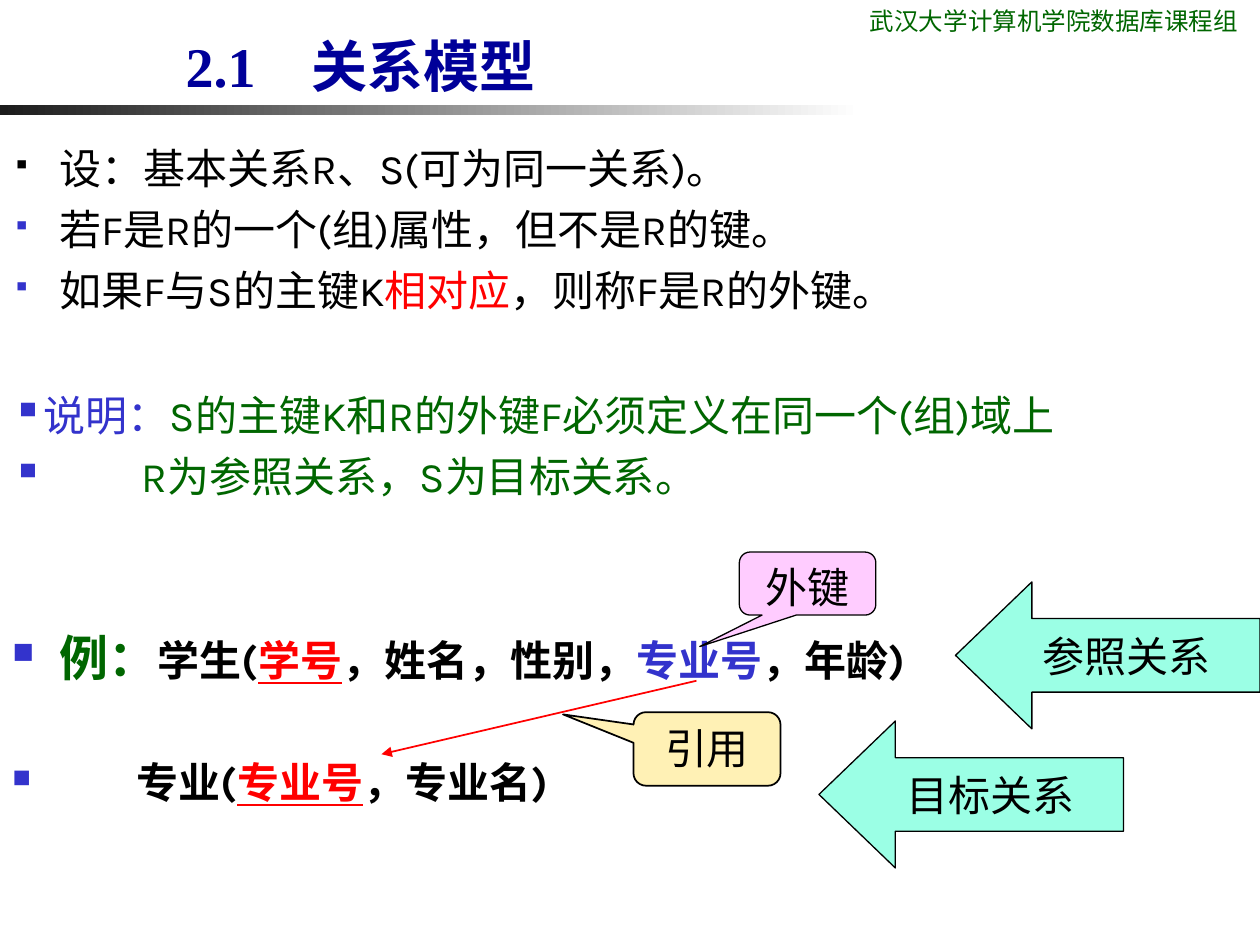
from dataclasses import dataclass

from lxml import etree
from pptx import Presentation
from pptx.dml.color import RGBColor
from pptx.enum.shapes import MSO_CONNECTOR, MSO_SHAPE
from pptx.enum.text import MSO_ANCHOR, PP_ALIGN
from pptx.oxml.ns import qn
from pptx.util import Pt

ARROW = MSO_SHAPE.LEFT_ARROW
CALLOUT = MSO_SHAPE.ROUNDED_RECTANGULAR_CALLOUT
RECT = MSO_SHAPE.RECTANGLE
STRAIGHT = MSO_CONNECTOR.STRAIGHT
TOP, MIDDLE, BOTTOM = MSO_ANCHOR.TOP, MSO_ANCHOR.MIDDLE, MSO_ANCHOR.BOTTOM
CENTER = PP_ALIGN.CENTER

BLACK = RGBColor(0, 0, 0)
WHITE = RGBColor(255, 255, 255)
DARK = RGBColor(0x1C, 0x1C, 0x1C)
GREEN = RGBColor(0, 0x66, 0)
NAVY = RGBColor(0, 0, 0x99)
BLUE = RGBColor(0x33, 0x33, 0xCC)
RED = RGBColor(255, 0, 0)
CREAM = RGBColor(0xFF, 0xF1, 0xB5)
MINT = RGBColor(0x9B, 0xFF, 0xE5)
PINK = RGBColor(0xFF, 0xCC, 0xFF)

BODY = "Karla"


@dataclass
class Span:
    text: str
    color: RGBColor = BLACK
    size: float = 24
    bold: bool = False
    line: bool = False
    font: str = BODY


@dataclass
class Para:
    spans: list[Span]
    hang: float = 0
    mark: str = ""
    tint: RGBColor = BLUE
    scale: int = 100
    gap: float = 6
    tab: float = 0


@dataclass
class Tag:
    text: str
    kind: MSO_SHAPE
    box: tuple
    fill: RGBColor
    adj: tuple
    width: float = 0.75


def style(run, span: Span) -> None:
    font = run.font
    font.name, font.size, font.bold = span.font, Pt(span.size), span.bold
    font.color.rgb = span.color
    if span.line:
        font.underline = True


def add_mark(props, para: Para) -> None:
    """Give the paragraph a coloured bullet with a hanging indent."""
    props.set("marL", str(Pt(para.hang)))
    props.set("indent", str(-Pt(para.hang)))
    tint = etree.SubElement(props, qn("a:buClr"))
    etree.SubElement(tint, qn("a:srgbClr"), val=str(para.tint))
    etree.SubElement(props, qn("a:buSzPct"), val=str(para.scale * 1000))
    etree.SubElement(props, qn("a:buChar"), char=para.mark)


def add_text(slide, box: tuple, paras: list[Para], anchor=TOP) -> None:
    frame = slide.shapes.add_textbox(*map(Pt, box)).text_frame
    frame.word_wrap = True
    frame.vertical_anchor = anchor
    for i, para in enumerate(paras):
        item = frame.add_paragraph() if i else frame.paragraphs[0]
        props = item._p.get_or_add_pPr()
        if para.mark:
            add_mark(props, para)
        if para.tab:
            tabs = etree.SubElement(props, qn("a:tabLst"))
            etree.SubElement(tabs, qn("a:tab"), pos=str(Pt(para.tab)), algn="l")
        if i:
            item.space_before = Pt(para.gap)
        for span in para.spans:
            run = item.add_run()
            run.text = span.text
            style(run, span)


def add_tag(slide, tag: Tag) -> None:
    shape = slide.shapes.add_shape(tag.kind, *map(Pt, tag.box))
    shape.shadow.inherit = False
    for i, value in enumerate(tag.adj):
        shape.adjustments[i] = value
    shape.fill.solid()
    shape.fill.fore_color.rgb = tag.fill
    shape.line.color.rgb = BLACK
    shape.line.width = Pt(tag.width)
    frame = shape.text_frame
    frame.word_wrap = tag.kind != ARROW
    frame.vertical_anchor = MIDDLE if tag.kind == ARROW else TOP
    frame.text = tag.text
    frame.paragraphs[0].alignment = CENTER
    style(frame.paragraphs[0].runs[0], Span(tag.text))


def add_rule(slide) -> None:
    """Draw the bar under the title, fading to white."""
    bar = slide.shapes.add_shape(RECT, Pt(0), Pt(60), Pt(492), Pt(5.5))
    bar.shadow.inherit = False
    bar.line.fill.background()
    bar.fill.gradient()
    bar.fill.gradient_angle = 0
    for stop, color in zip(bar.fill.gradient_stops, (DARK, WHITE)):
        stop.color.rgb = color


def add_link(slide, start: tuple, end: tuple) -> None:
    link = slide.shapes.add_connector(STRAIGHT, *map(Pt, start + end))
    link.line.color.rgb = RED
    link.line.width = Pt(1)
    line = link.line._get_or_add_ln()
    etree.SubElement(line, qn("a:tailEnd"), type="triangle")
    etree.SubElement(link._element.spPr, qn("a:effectLst"))


SMALL = dict(hang=27, mark="▪", scale=60)
LARGE = dict(mark="■", scale=60)

RULES = [
    Para([Span("设：基本关系R、S(可为同一关系)。")], tint=BLACK, **SMALL),
    Para([Span("若F是R的一个(组)属性，但不是R的键。")], **SMALL),
    Para([Span("如果F与S的主键K"), Span("相对应", RED),
          Span("，则称F是R的外键。")], **SMALL),
]
SAMPLE = [
    Para([Span("例：", GREEN, 28, True), Span("学生(", bold=True),
          Span("学号", RED, bold=True, line=True),
          Span("，姓名，性别，", bold=True), Span("专业号", BLUE, bold=True),
          Span("，年龄)", bold=True)], hang=27, **LARGE),
    Para([Span("专业(", bold=True), Span("专业号", RED, bold=True, line=True),
          Span("，专业名)", bold=True)], hang=71, gap=40, **LARGE),
]
NOTES = [
    Para([Span("说明：", BLUE),
          Span("S的主键K和R的外键F必须定义在同一个(组)域上", GREEN)], mark="▪"),
    Para([Span("R为参照关系，S为目标关系。", GREEN)], hang=74, mark="▪"),
]
TAGS = [
    Tag("引用", CALLOUT, (362, 407, 84, 42), CREAM, (-0.98, -0.47, 0.17), 1),
    Tag("目标关系", ARROW, (468, 412, 174, 84), MINT, (0.5, 0.52)),
    Tag("参照关系", ARROW, (546, 332.5, 174, 84), MINT, (0.5, 0.52)),
    Tag("外键", CALLOUT, (422.5, 315.5, 78, 36), PINK, (-0.79, 1, 0.17)),
]


def main() -> None:
    deck = Presentation()
    deck.slide_width, deck.slide_height = Pt(720), Pt(540)
    slide = deck.slides.add_slide(deck.slide_layouts[6])
    add_rule(slide)
    add_text(slide, (490, 0, 230, 24.5), [Para(
        [Span("武汉大学计算机学院数据库课程组", GREEN, 14, font="Roboto Condensed")])])
    add_text(slide, (99, 0, 408, 60), [Para(
        [Span("2.1\t关系模型", NAVY, 32, True, font="Times New Roman")],
        tab=72)], BOTTOM)
    add_text(slide, (0, 78, 638, 181), RULES)
    add_text(slide, (0, 355, 540, 142), SAMPLE)
    add_link(slide, (398, 389), (218, 431))
    for tag in TAGS:
        add_tag(slide, tag)
    add_text(slide, (0, 219, 700, 71), NOTES)
    deck.save("out.pptx")


if __name__ == "__main__":
    main()
